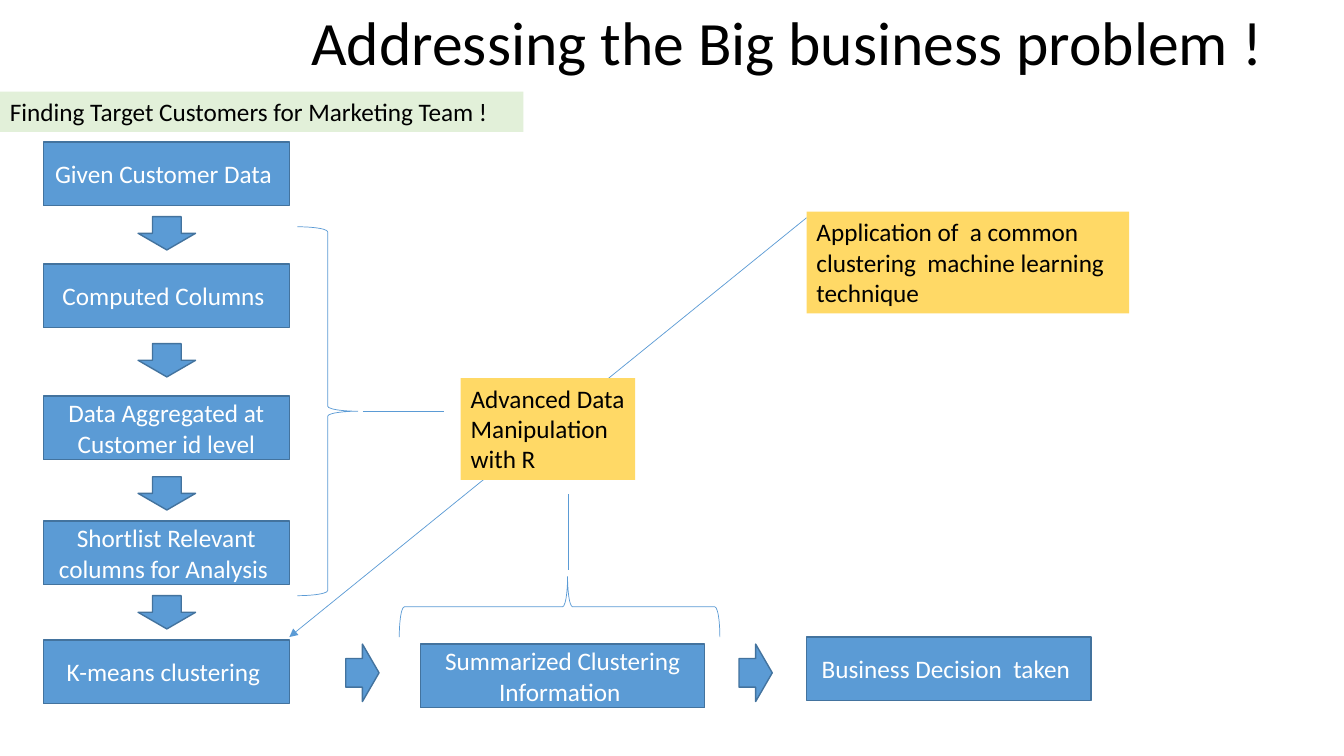
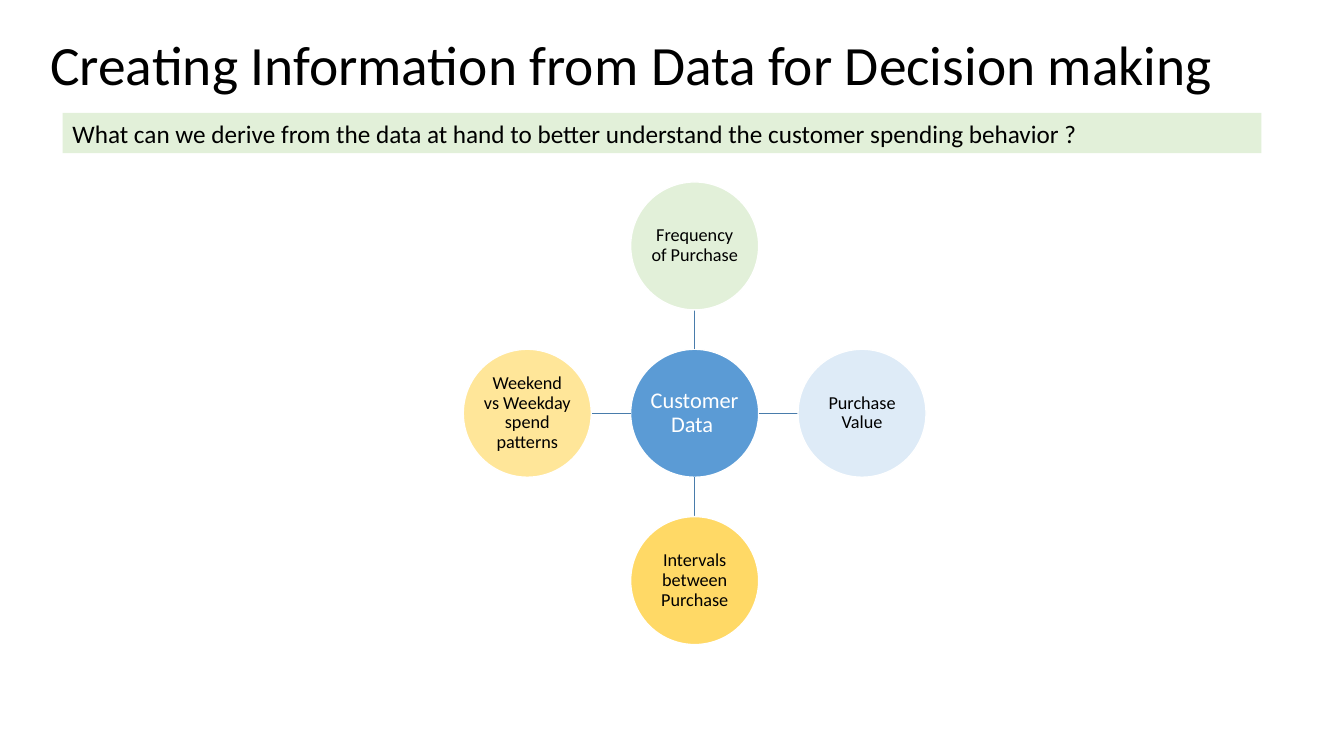
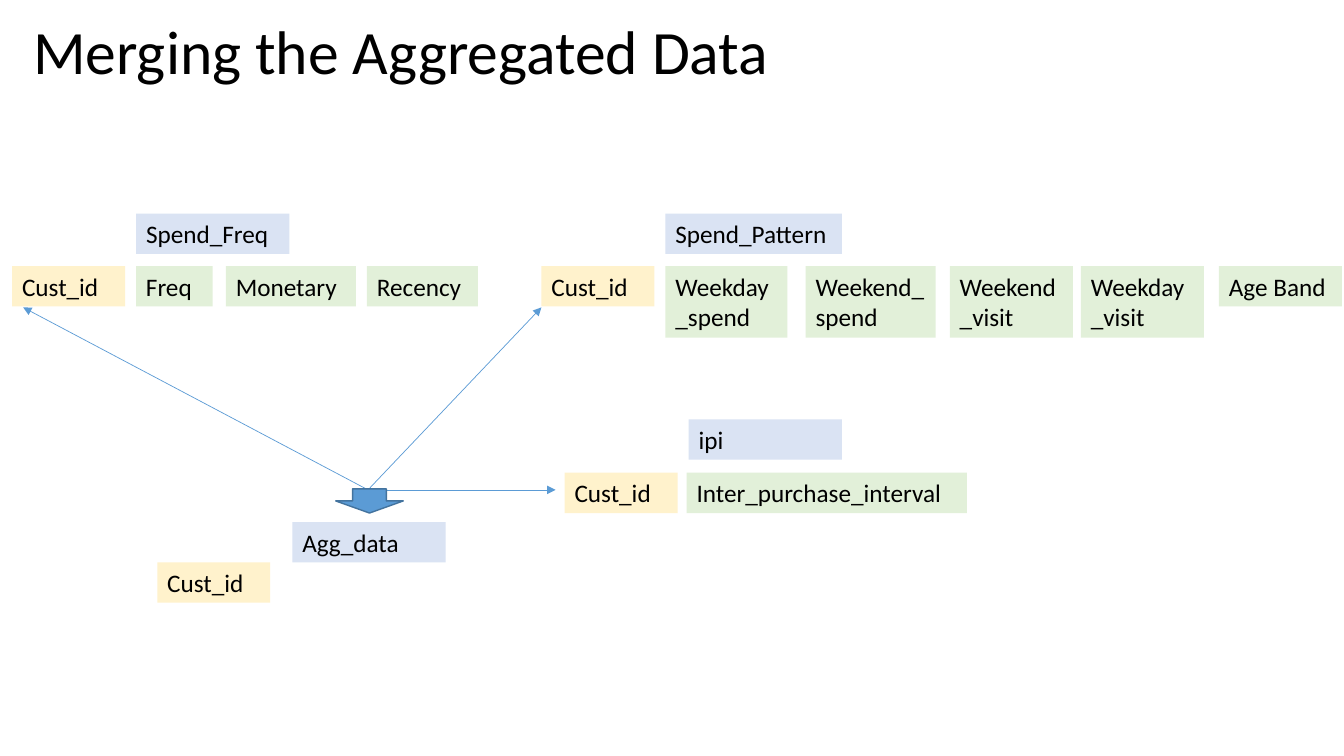
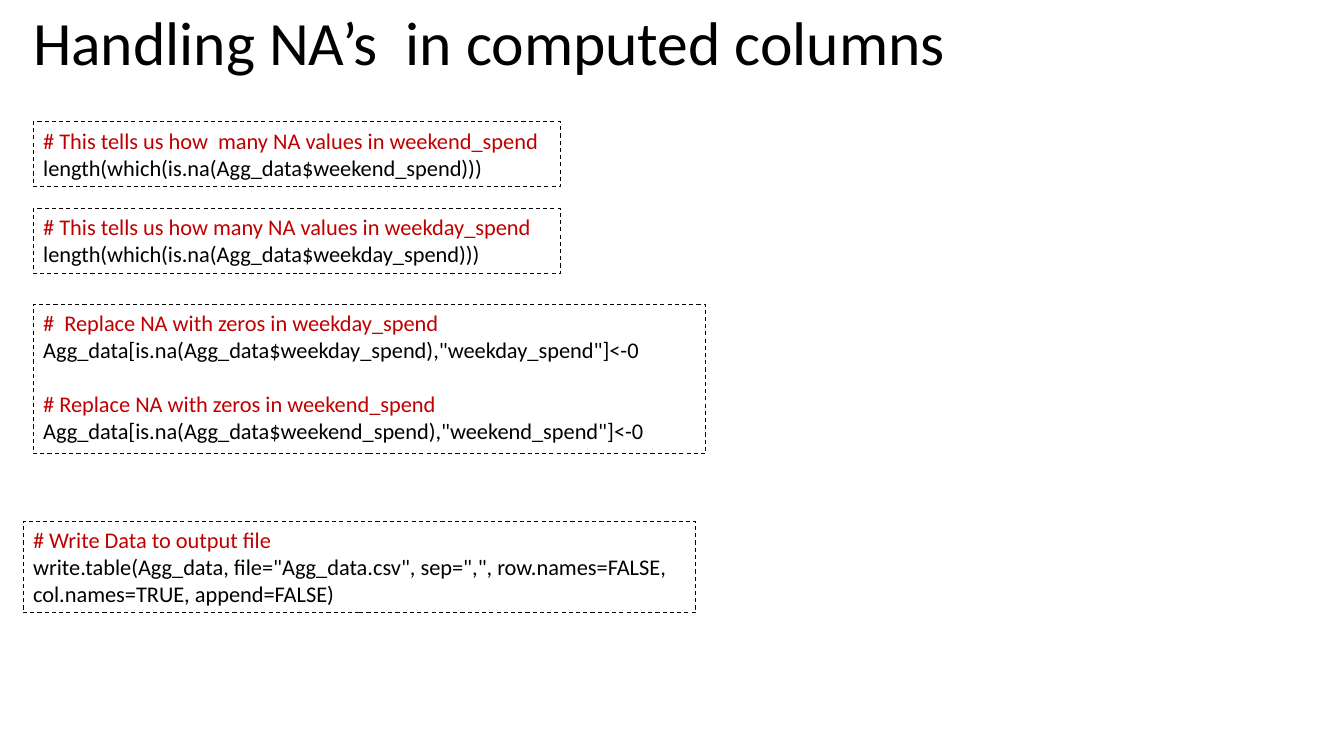
import math
from dataclasses import dataclass

import pptx
import pptx.util
import pptx.dml.color
import pptx.enum.dml
import pptx.enum.shapes
import pptx.enum.text
import pptx.oxml
from pptx.util import Inches

SHAPE = pptx.enum.shapes.MSO_SHAPE
ALIGN = pptx.enum.text.PP_ALIGN
ANCHOR = pptx.enum.text.MSO_ANCHOR


@dataclass(frozen=True)
class Theme:
    font: str = "Calibri"
    black: str = "000000"
    white: str = "FFFFFF"
    blue: str = "5B9BD5"
    blue_edge: str = "43739E"
    spoke: str = "497CAB"
    pale_blue: str = "DEEBF7"
    lavender: str = "DAE3F3"
    green: str = "E2F0D9"
    gold: str = "FFD966"
    light_gold: str = "FFE699"
    cream: str = "FFF2CC"
    red: str = "C00000"
    title: float = 44
    long_title: float = 39.6
    body: float = 18
    code: float = 16
    hub: float = 16
    node: float = 13
    thin: float = 0.5
    dashed: float = 0.75
    edge: float = 1


class Deck:
    def __init__(self, theme):
        self.theme = theme
        self.prs = pptx.Presentation()
        self.prs.slide_width = Inches(13.33)
        self.prs.slide_height = Inches(7.5)
        self.s = None

    def rgb(self, color):
        return pptx.dml.color.RGBColor.from_string(color)

    def slide(self, title, left, top, width, size=None):
        self.s = self.prs.slides.add_slide(self.prs.slide_layouts[6])
        sp = self.s.shapes.add_textbox(Inches(left), Inches(top), Inches(width), Inches(0.9))
        self.text(sp, [(title, self.theme.black)], size or self.theme.title,
                  anchor=ANCHOR.MIDDLE, spacing=0.9)

    def text(self, sp, lines, size, align=ALIGN.LEFT, anchor=ANCHOR.TOP,
             spacing=None, inset=None):
        tf = sp.text_frame
        tf.word_wrap = True
        tf.vertical_anchor = anchor
        if inset is not None:
            tf.margin_left = tf.margin_right = Inches(inset)
            tf.margin_top = tf.margin_bottom = Inches(inset)
        for i, (words, color) in enumerate(lines):
            p = tf.add_paragraph() if i else tf.paragraphs[0]
            p.alignment = align
            if spacing:
                p.line_spacing = spacing
            r = p.add_run()
            r.text = words
            r.font.name = self.theme.font
            r.font.size = pptx.util.Pt(size)
            r.font.color.rgb = self.rgb(color)
        return tf

    def shape(self, kind, left, top, width, height, fill=None, line=None, weight=1, rotation=0):
        sp = self.s.shapes.add_shape(kind, Inches(left), Inches(top), Inches(width), Inches(height))
        sp.shadow.inherit = False
        sp.rotation = rotation
        if fill:
            sp.fill.solid()
            sp.fill.fore_color.rgb = self.rgb(fill)
        else:
            sp.fill.background()
        if line:
            sp.line.color.rgb = self.rgb(line)
            sp.line.width = pptx.util.Pt(weight)
        else:
            sp.line.fill.background()
        return sp

    def label(self, words, left, top, width, height=0.4, fill=None):
        sp = self.shape(SHAPE.RECTANGLE, left, top, width, height, fill)
        self.text(sp, [(words, self.theme.black)], self.theme.body)

    def step(self, words, left, top, width):
        t = self.theme
        sp = self.shape(SHAPE.FLOWCHART_PROCESS, left, top, width, 0.63, t.blue, t.blue_edge, t.edge)
        self.text(sp, [(words, t.white)], t.body, ALIGN.CENTER, ANCHOR.MIDDLE)

    def block_arrow(self, left, top, width=0.57, height=0.33, rotation=0):
        t = self.theme
        self.shape(SHAPE.DOWN_ARROW, left, top, width, height, t.blue, t.blue_edge, t.edge, rotation)

    def brace(self, left, top, width, height, rotation=0):
        return self.shape(SHAPE.RIGHT_BRACE, left, top, width, height,
                          line=self.theme.blue, weight=self.theme.thin, rotation=rotation)

    def circle(self, words, x, y, diameter, fill, color, size):
        t = self.theme
        sp = self.shape(SHAPE.OVAL, x - diameter / 2, y - diameter / 2, diameter, diameter,
                        fill, t.white, t.edge)
        self.text(sp, [(words, color)], size, ALIGN.CENTER, ANCHOR.MIDDLE, 0.9, 0.01)

    def line(self, start, end, color=None, weight=None, arrow=False):
        ln = self.s.shapes.add_connector(pptx.enum.shapes.MSO_CONNECTOR.STRAIGHT,
                                         *(Inches(v) for v in (*start, *end)))
        ln.line.color.rgb = self.rgb(color or self.theme.blue)
        ln.line.width = pptx.util.Pt(weight or self.theme.thin)
        pr = ln._element.spPr
        if arrow:
            tail = pptx.oxml.parse_xml(
                '<a:tailEnd xmlns:a="http://schemas.openxmlformats.org/drawingml/2006/main"'
                ' type="triangle"/>')
            ln.line._get_or_add_ln().append(tail)
        pr.append(pptx.oxml.parse_xml(
            '<a:effectLst xmlns:a="http://schemas.openxmlformats.org/drawingml/2006/main"/>'))

    def code(self, snippets, left, top, width, height):
        t = self.theme
        sp = self.shape(SHAPE.RECTANGLE, left, top, width, height, line=t.black, weight=t.dashed)
        sp.line.dash_style = pptx.enum.dml.MSO_LINE.DASH
        lines = []
        for remark, statement in snippets:
            lines += [(remark, t.red), (statement, t.black)]
        tf = self.text(sp, lines, t.code)
        for p in tf.paragraphs[2::2]:
            p.space_before = pptx.util.Pt(19.5)


def business_problem(d):
    t = d.theme
    d.slide("Addressing the Big business problem !", 2.99, 0, 9.77)
    d.line((8, 2.16), (2.87, 6.32), arrow=True)
    d.label("Finding Target Customers for Marketing Team !", 0, 0.91, 5.19, fill=t.green)
    for words, top in [
        ("Given Customer Data ", 1.41),
        ("Computed Columns ", 2.62),
        ("Data Aggregated at Customer id level", 3.93),
        ("Shortlist Relevant columns for Analysis ", 5.17),
        ("K-means clustering ", 6.35),
    ]:
        d.step(words, 0.43, top, 2.44)
    for top in (2.15, 3.41, 4.73, 5.91):
        d.block_arrow(1.37, top)
    d.step("Summarized Clustering Information ", 4.17, 6.39, 2.82)
    d.step("Business Decision  taken ", 8, 6.32, 2.82)
    for left in (3.31, 7.21):
        d.block_arrow(left, 6.51, rotation=270)
    d.brace(2.95, 2.25, 0.6, 3.66)
    summary_brace = d.brace(5.25, 4.43, 0.6, 3.18, 270)
    summary_brace.adjustments[1] = 0.525
    d.line((3.6, 4.08), (4.4, 4.08))
    d.line((5.64, 5.65), (5.64, 4.9))
    d.label("Advanced Data Manipulation with R", 4.57, 3.75, 1.73, 1.01, t.gold)
    d.label("Application of  a common clustering  machine learning technique",
            8, 2.1, 3.2, 1.01, t.gold)


def information_from_data(d):
    t = d.theme
    d.slide("Creating Information from Data for Decision making", 0.4, 0.22, 12.33, t.long_title)
    d.label("What can we derive from the data at hand to better understand "
            "the customer spending behavior ?", 0.62, 1.12, 11.89, fill=t.green)
    x, y, diameter, reach = 6.89, 4.1, 1.27, 1.66
    d.circle("Customer Data ", x, y, diameter, t.blue, t.white, t.hub)
    nodes = [
        ("Frequency of Purchase ", t.green),
        ("Purchase Value", t.pale_blue),
        ("Intervals between Purchase", t.gold),
        ("Weekend vs Weekday spend patterns", t.light_gold),
    ]
    for i, (words, fill) in enumerate(nodes):
        angle = math.radians(90 * i - 90)
        inner, outer, center = (
            (x + dist * math.cos(angle), y + dist * math.sin(angle))
            for dist in (diameter / 2, reach - diameter / 2, reach))
        d.line(inner, outer, t.spoke, t.edge)
        d.circle(words, *center, diameter, fill, t.black, t.node)


def merging_data(d):
    t = d.theme
    d.slide("Merging the Aggregated Data", 0.23, 0.09, 12.74)
    for name, left, top, width in [
        ("Spend_Freq", 1.35, 2.12, 1.52),
        ("Spend_Pattern", 6.6, 2.12, 1.75),
        ("ipi", 6.83, 4.16, 1.52),
        ("Agg_data", 2.9, 5.18, 1.52),
    ]:
        d.label(name, left, top, width, fill=t.lavender)
    for left, top in [(0.12, 2.64), (5.37, 2.64), (5.6, 4.69), (1.56, 5.58)]:
        d.label("Cust_id", left, top, 1.12, fill=t.cream)
    for column, left, top, width, height in [
        ("Freq", 1.35, 2.64, 0.76, 0.4),
        ("Monetary", 2.24, 2.64, 1.29, 0.4),
        ("Recency", 3.64, 2.64, 1.1, 0.4),
        ("Weekday_spend", 6.6, 2.64, 1.21, 0.71),
        ("Weekend_spend", 7.99, 2.64, 1.29, 0.71),
        ("Weekend_visit", 9.42, 2.64, 1.22, 0.71),
        ("Weekday_visit", 10.72, 2.64, 1.22, 0.71),
        ("Age Band", 12.09, 2.64, 1.22, 0.4),
        ("Inter_purchase_interval", 6.81, 4.69, 2.78, 0.4),
    ]:
        d.label(column, left, top, width, height, t.green)
    for end in [(5.37, 3.05), (5.51, 4.86), (0.23, 3.05)]:
        d.line((3.65, 4.86), end, arrow=True)
    d.block_arrow(3.33, 4.85, 0.67, 0.24)


def handling_missing(d):
    d.slide("Handling NA’s  in computed columns", 0.23, 0, 12.74)
    d.code([("# This tells us how  many NA values in weekend_spend",
             "length(which(is.na(Agg_data$weekend_spend)))")], 0.33, 1.21, 5.23, 0.64)
    d.code([("# This tells us how many NA values in weekday_spend",
             "length(which(is.na(Agg_data$weekday_spend)))")], 0.33, 2.07, 5.23, 0.64)
    d.code([("#  Replace NA with zeros in weekday_spend",
             'Agg_data[is.na(Agg_data$weekday_spend),"weekday_spend"]<-0'),
            ("# Replace NA with zeros in weekend_spend",
             'Agg_data[is.na(Agg_data$weekend_spend),"weekend_spend"]<-0')],
           0.33, 3.02, 6.67, 1.48)
    d.code([("# Write Data to output file",
             'write.table(Agg_data, file="Agg_data.csv", sep=",", row.names=FALSE, '
             'col.names=TRUE, append=FALSE)')], 0.23, 5.17, 6.67, 0.91)


deck = Deck(Theme())
for build in (business_problem, information_from_data, merging_data, handling_missing):
    build(deck)
deck.prs.save("out.pptx")
